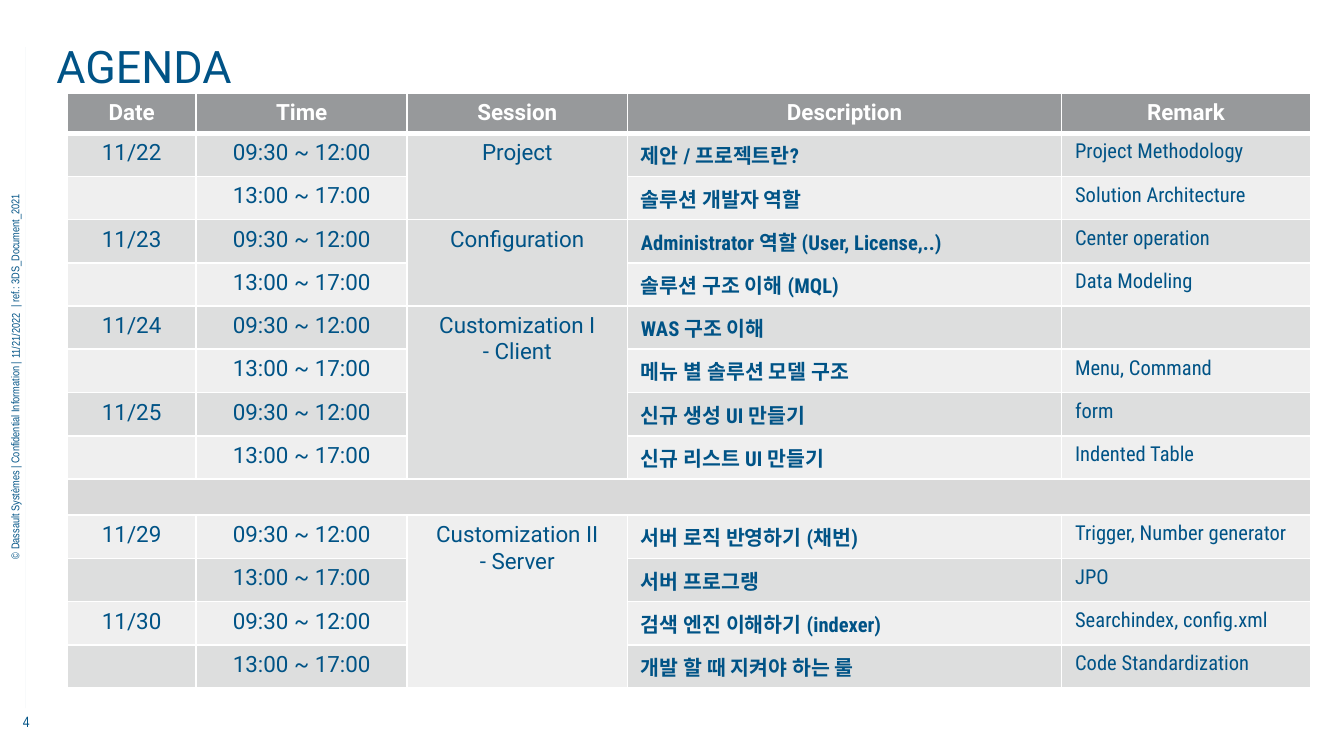
from lxml.etree import SubElement
from pptx import Presentation
from pptx.dml.color import RGBColor
from pptx.enum.shapes import MSO_CONNECTOR
from pptx.enum.text import MSO_ANCHOR, PP_ALIGN
from pptx.oxml.ns import qn
from pptx.util import Inches, Pt

COLORS = {
    "navy": "005386",
    "white": "FFFFFF",
    "header": "97999B",
    "dark": "DDDEDE",
    "light": "EFEFEF",
    "break": "D9D9D9",
}
HEADINGS = ["Date", "Time", "Session", "Description", "Remark"]
COLUMN_WIDTHS = [0.96, 1.57, 1.64, 3.23, 1.85]
TABLE_HEIGHT, HEADER_HEIGHT, BREAK_HEIGHT = 4.43, 0.3, 0.27
SLOTS = ["09:30 ~ 12:00", "13:00 ~ 17:00"]
BREAK_ROW = 9
DAYS = [
    ("11/22", [("제안 / 프로젝트란?", "Project Methodology"),
               ("솔루션 개발자 역할", "Solution Architecture")]),
    ("11/23", [("Administrator 역할 (User, License,..)", "Center operation"),
               ("솔루션 구조 이해 (MQL)", "Data Modeling")]),
    ("11/24", [("WAS 구조 이해", ""),
               ("메뉴 별 솔루션 모델 구조", "Menu, Command")]),
    ("11/25", [("신규 생성 UI 만들기", "form"),
               ("신규 리스트 UI 만들기", "Indented Table")]),
    ("11/29", [("서버 로직 반영하기 (채번)", "Trigger, Number generator"),
               ("서버 프로그랭", "JPO")]),
    ("11/30", [("검색 엔진 이해하기 (indexer)", "Searchindex, config.xml"),
               ("개발 할 때 지켜야 하는 룰", "Code Standardization")]),
]
SESSIONS = [
    (1, 2, "Project"),
    (3, 2, "Configuration"),
    (5, 4, "Customization I\n- Client"),
    (10, 4, "Customization II\n- Server"),
]


def rgb(name):
    return RGBColor.from_string(COLORS[name])


def format_text(text_frame, size, font_name, color="navy", bold=False, align=PP_ALIGN.CENTER):
    for paragraph in text_frame.paragraphs:
        paragraph.alignment = align
        for run in paragraph.runs:
            run.font.size = Pt(size)
            run.font.name = font_name
            run.font.bold = bold
            run.font.color.rgb = rgb(color)


def clear_margins(text_frame):
    text_frame.margin_left = text_frame.margin_right = 0
    text_frame.margin_top = text_frame.margin_bottom = 0


def place(shape, left, top, width, height):
    shape.left, shape.top = Inches(left), Inches(top)
    shape.width, shape.height = Inches(width), Inches(height)


def add_title(slide, text):
    title = slide.shapes.title
    place(title, 0.42, 0.29, 8.97, 0.4)
    text_frame = title.text_frame
    text_frame.text = text
    text_frame.vertical_anchor = MSO_ANCHOR.BOTTOM
    clear_margins(text_frame)
    format_text(text_frame, 24, "Roboto", align=PP_ALIGN.LEFT)


def add_label(slide, text, box, size, rotation=0, anchor=MSO_ANCHOR.TOP, align=PP_ALIGN.CENTER):
    label = slide.shapes.add_textbox(*[Inches(length) for length in box])
    label.rotation = rotation
    text_frame = label.text_frame
    text_frame.word_wrap = True
    text_frame.vertical_anchor = anchor
    clear_margins(text_frame)
    text_frame.text = text
    format_text(text_frame, size, "Arial Narrow", align=align)
    return text_frame


def add_side_notice(slide):
    vertical = {"size": 6, "rotation": 270, "anchor": MSO_ANCHOR.MIDDLE}
    notice = add_label(
        slide,
        "© Dassault Systèmes | Confidential Information |\t| ref.: 3DS_Document_2021",
        (-1.58, 2.76, 3.38, 0.1), align=PP_ALIGN.LEFT, **vertical)
    notice.margin_left = Inches(0.34)
    properties = notice.paragraphs[0]._p.get_or_add_pPr()
    tabs = SubElement(properties, qn("a:tabLst"))
    SubElement(tabs, qn("a:tab"), pos=str(Inches(1.87)), algn="l")
    add_label(slide, "11/21/2022", (-0.08, 2.45, 0.39, 0.1), **vertical)


def add_margin_line(slide):
    line = slide.shapes.add_connector(
        MSO_CONNECTOR.STRAIGHT, Inches(0.19), Inches(0.35), Inches(0.19), Inches(5.27))
    line.line.color.rgb = rgb("navy")
    line.line.width = Pt(0.2)
    color = line._element.spPr.find(".//" + qn("a:srgbClr"))
    SubElement(color, qn("a:alpha"), val="8000")
    SubElement(line._element.spPr, qn("a:effectLst"))


def style_cell(cell, color, bottom_width=1):
    properties = cell._tc.get_or_add_tcPr()
    for side, width in (("L", 1), ("R", 1), ("T", 1), ("B", bottom_width)):
        border = SubElement(properties, qn(f"a:ln{side}"), w=str(Pt(width)))
        fill = SubElement(border, qn("a:solidFill"))
        SubElement(fill, qn("a:srgbClr"), val=COLORS["white"])
    cell.fill.solid()
    cell.fill.fore_color.rgb = rgb(color)


def shrink_empty_cell(cell):
    SubElement(cell.text_frame.paragraphs[0]._p, qn("a:endParaRPr"), sz="800")


def write_cell(cell, text, size=12, font_name="Roboto", **formatting):
    cell.text = text
    format_text(cell.text_frame, size, font_name, **formatting)


def row_color(row):
    if row == 0:
        return "header"
    if row == BREAK_ROW:
        return "break"
    return "dark" if row % 2 else "light"


def fill_agenda(table):
    for column, heading in enumerate(HEADINGS):
        write_cell(table.cell(0, column), heading, color="white", bold=True)
    row = 1
    for date, topics in DAYS:
        if row == BREAK_ROW:
            row += 1
        write_cell(table.cell(row, 0), date)
        for slot, (description, remark) in zip(SLOTS, topics):
            write_cell(table.cell(row, 1), slot)
            write_cell(table.cell(row, 3), description, 11, "Roboto Condensed",
                       bold=True, align=PP_ALIGN.LEFT)
            write_cell(table.cell(row, 4), remark, 11, "Roboto Condensed", align=PP_ALIGN.LEFT)
            row += 1
    for first_row, span, session in SESSIONS:
        cell = table.cell(first_row, 2)
        cell.merge(table.cell(first_row + span - 1, 2))
        write_cell(cell, session)
    table.cell(BREAK_ROW, 0).merge(table.cell(BREAK_ROW, len(HEADINGS) - 1))


def add_agenda(slide):
    slot_count = len(DAYS) * len(SLOTS)
    row_height = (TABLE_HEIGHT - HEADER_HEIGHT - BREAK_HEIGHT) / slot_count
    heights = [HEADER_HEIGHT] + [row_height] * slot_count
    heights.insert(BREAK_ROW, BREAK_HEIGHT)
    table = slide.shapes.add_table(
        len(heights), len(HEADINGS), Inches(0.5), Inches(0.69),
        Inches(sum(COLUMN_WIDTHS)), Inches(TABLE_HEIGHT)).table
    for column, width in zip(table.columns, COLUMN_WIDTHS):
        column.width = Inches(width)
    fill_agenda(table)
    for index, height in enumerate(heights):
        table.rows[index].height = Inches(height)
        for cell in table.rows[index].cells:
            style_cell(cell, row_color(index), bottom_width=1 if index else 3)
            if not cell.text_frame.text:
                shrink_empty_cell(cell)


def main():
    presentation = Presentation()
    presentation.slide_width = Inches(10)
    presentation.slide_height = Inches(10 * 9 / 16)
    slide = presentation.slides.add_slide(presentation.slide_layouts[5])
    add_label(slide, "4", (0, 5.3, 0.39, 0.13), 8)
    add_margin_line(slide)
    add_side_notice(slide)
    add_title(slide, "AGENDA")
    add_agenda(slide)
    presentation.save("out.pptx")


if __name__ == "__main__":
    main()
